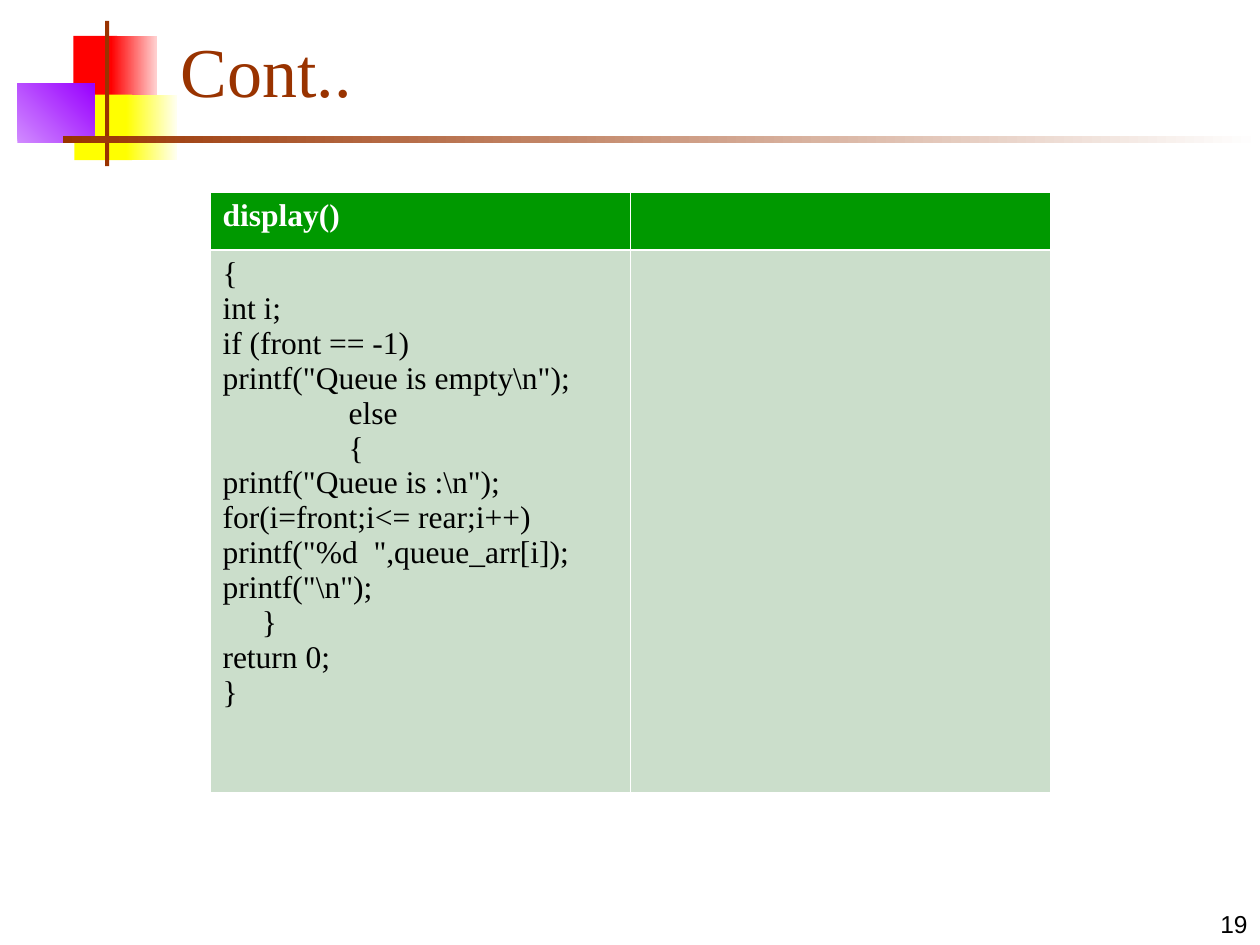
from dataclasses import dataclass
from typing import Optional

from lxml.etree import SubElement
from pptx import Presentation
from pptx.dml.color import RGBColor
from pptx.enum.shapes import MSO_SHAPE
from pptx.enum.text import MSO_ANCHOR, MSO_AUTO_SIZE, PP_ALIGN
from pptx.oxml.ns import qn
from pptx.util import Pt


@dataclass(frozen=True)
class Theme:
    serif: str = "Times New Roman"
    sans: str = "Arial"
    brown: str = "993300"
    red: str = "FF0000"
    pink: str = "FFD1D1"
    yellow: str = "FFFF00"
    cream: str = "FFFFF0"
    lilac: str = "D18BFF"
    purple: str = "9900FF"
    green: str = "009900"
    pale_green: str = "CBDECB"
    white: str = "FFFFFF"
    black: str = "000000"
    title_size: float = 40
    code_size: float = 18
    number_size: float = 14
    thin_border: float = 0.45
    thick_border: float = 1.47


@dataclass(frozen=True)
class Block:
    left: float
    top: float
    width: float
    height: float
    color: str
    end_color: Optional[str] = None
    angle: float = 0


THEME = Theme()

BLOCKS = [
    Block(42, 20.5, 25, 37, THEME.red),
    Block(63.5, 20.5, 26, 37, THEME.red, THEME.pink),
    Block(42.5, 54, 33, 37.5, THEME.yellow),
    Block(72, 54, 29, 37.5, THEME.yellow, THEME.cream),
    Block(10, 48, 44, 33.5, THEME.lilac, THEME.purple, 45),
    Block(60, 12, 2.4, 83, THEME.brown),
    Block(36, 78, 684, 3.8, THEME.brown, THEME.white),
]

HEADING = "display()"
CODE = r"""{
int i;
if (front == -1)
printf("Queue is empty\n");
	else
	{
printf("Queue is :\n");
for(i=front;i<= rear;i++)
printf("%d  ",queue_arr[i]);
printf("\n");
     }
return 0;
}"""


def draw_block(slide, block: Block) -> None:
    shape = slide.shapes.add_shape(
        MSO_SHAPE.RECTANGLE,
        Pt(block.left), Pt(block.top), Pt(block.width), Pt(block.height),
    )
    shape.shadow.inherit = False
    shape.line.fill.background()
    if block.end_color is None:
        shape.fill.solid()
        shape.fill.fore_color.rgb = RGBColor.from_string(block.color)
        return
    shape.fill.gradient()
    shape.fill.gradient_angle = block.angle
    for stop, color in zip(shape.fill.gradient_stops, (block.color, block.end_color)):
        stop.color.rgb = RGBColor.from_string(color)


def format_text(text_frame, font_name: str, size: float, color: str,
                bold: bool = False, alignment=PP_ALIGN.LEFT) -> None:
    for paragraph in text_frame.paragraphs:
        paragraph.alignment = alignment
        for run in paragraph.runs:
            run.font.name = font_name
            run.font.size = Pt(size)
            run.font.bold = bold
            run.font.color.rgb = RGBColor.from_string(color)


def add_tab_stop(paragraph, position: float) -> None:
    properties = paragraph._p.get_or_add_pPr()
    tab_list = SubElement(properties, qn("a:tabLst"))
    SubElement(tab_list, qn("a:tab"), pos=str(Pt(position)), algn="l")


def add_border(cell, side: str, width: float) -> None:
    properties = cell._tc.get_or_add_tcPr()
    line = SubElement(properties, qn(f"a:ln{side}"), w=str(Pt(width)))
    fill = SubElement(line, qn("a:solidFill"))
    SubElement(fill, qn("a:srgbClr"), val=THEME.white)


def style_cell(cell, color: str, thick_side: str) -> None:
    for side in "LRTB":
        width = THEME.thick_border if side == thick_side else THEME.thin_border
        add_border(cell, side, width)
    cell.fill.solid()
    cell.fill.fore_color.rgb = RGBColor.from_string(color)


def draw_title(slide) -> None:
    title = slide.shapes.title
    title.left, title.top, title.width, title.height = Pt(96), Pt(1.5), Pt(613.5), Pt(66)
    text_frame = title.text_frame
    text_frame.text = "Cont.."
    text_frame.auto_size = MSO_AUTO_SIZE.NONE
    text_frame.vertical_anchor = MSO_ANCHOR.BOTTOM
    format_text(text_frame, THEME.serif, THEME.title_size, THEME.brown)


def draw_code_table(slide) -> None:
    table = slide.shapes.add_table(2, 2, Pt(120), Pt(110), Pt(480), Pt(343)).table
    table.rows[0].height, table.rows[1].height = Pt(33), Pt(310)
    for column in range(2):
        style_cell(table.cell(0, column), THEME.green, "B")
        style_cell(table.cell(1, column), THEME.pale_green, "T")
    heading = table.cell(0, 0).text_frame
    heading.text = HEADING
    format_text(heading, THEME.serif, THEME.code_size, THEME.white, bold=True)
    code = table.cell(1, 0).text_frame
    code.text = CODE
    for paragraph in code.paragraphs:
        add_tab_stop(paragraph, 72)
    format_text(code, THEME.serif, THEME.code_size, THEME.black)


def draw_page_number(slide) -> None:
    text_box = slide.shapes.add_textbox(Pt(570), Pt(504), Pt(150), Pt(36))
    text_frame = text_box.text_frame
    text_frame.word_wrap = True
    text_frame.vertical_anchor = MSO_ANCHOR.BOTTOM
    text_frame.text = "19"
    format_text(text_frame, THEME.sans, THEME.number_size, THEME.black,
                alignment=PP_ALIGN.RIGHT)


def main() -> None:
    presentation = Presentation()
    presentation.slide_width, presentation.slide_height = Pt(720), Pt(540)
    slide = presentation.slides.add_slide(presentation.slide_layouts[5])
    for block in BLOCKS:
        draw_block(slide, block)
    draw_title(slide)
    draw_page_number(slide)
    draw_code_table(slide)
    presentation.save("out.pptx")


if __name__ == "__main__":
    main()
